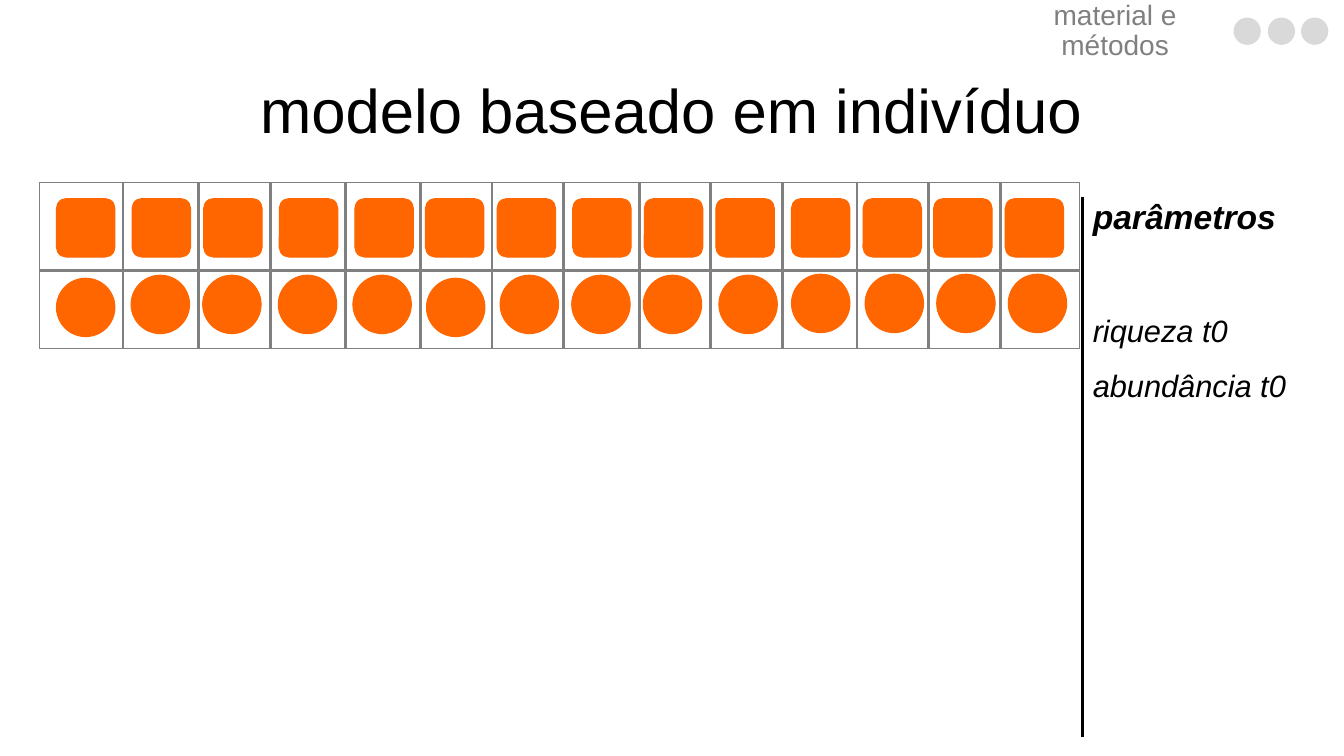
from pptx import Presentation
from pptx.dml.color import RGBColor
from pptx.enum.shapes import MSO_CONNECTOR, MSO_SHAPE
from pptx.enum.text import MSO_ANCHOR, MSO_AUTO_SIZE, PP_ALIGN
from pptx.oxml.ns import qn
from pptx.util import Pt
from lxml.etree import SubElement

PX = 9144  # 100 px to the inch
COLORS = {
    "individual": "FF6600",
    "grid": "808080",
    "muted": "808080",
    "dot": "D9D9D9",
    "text": "000000",
}
FONT = "Arial"
MARK_SIZE = 58

# Offsets from the left and top edges of the grid
DIVIDERS = [83, 158, 229, 304, 378, 449, 520, 595, 666, 737, 811, 882, 953]
SQUARE_LEFTS = [17, 92, 163, 238, 313, 383, 454, 529, 600, 671, 746, 817, 887, 958]
CIRCLE_LEFTS = [17, 91, 162, 237, 311, 384, 457, 528, 599, 674, 746, 819, 890, 961]
CIRCLE_TOPS = [95, 92, 92, 92, 92, 95, 92, 92, 92, 92, 91, 91, 91, 91]


def px(*lengths):
    return [length * PX for length in lengths]


def color(name):
    return RGBColor.from_string(COLORS[name])


def add_mark(slide, kind, box, fill=None, line=None):
    shape = slide.shapes.add_shape(kind, *px(*box))
    shape.shadow.inherit = False
    if fill:
        shape.fill.solid()
        shape.fill.fore_color.rgb = color(fill)
    else:
        shape.fill.background()
    shape.line.color.rgb = color(line or fill)
    shape.line.width = Pt(0)
    return shape


def add_line(slide, start, end, line, width=0):
    connector = slide.shapes.add_connector(
        MSO_CONNECTOR.STRAIGHT, *px(*start, *end))
    connector.line.color.rgb = color(line)
    connector.line.width = Pt(width)
    SubElement(connector._element.spPr, qn("a:effectLst"))


def add_text_box(slide, box, anchor=MSO_ANCHOR.TOP, auto_size=MSO_AUTO_SIZE.NONE):
    frame = slide.shapes.add_textbox(*px(*box)).text_frame
    frame.word_wrap = True
    frame.vertical_anchor = anchor
    frame.auto_size = auto_size
    return frame


def write(paragraph, text, size, fill="text", bold=False, italic=False,
          align=PP_ALIGN.LEFT, spacing=0.9, before=0):
    run = paragraph.add_run()
    run.text = text
    run.font.name = FONT
    run.font.size = Pt(size)
    run.font.bold = bold
    run.font.italic = italic
    run.font.color.rgb = color(fill)
    paragraph.alignment = align
    paragraph.line_spacing = spacing
    paragraph.space_before = Pt(before)


def place_title(slide, box):
    title = slide.shapes.title
    title.left, title.top, title.width, title.height = px(*box)
    frame = title.text_frame
    frame.vertical_anchor = MSO_ANCHOR.MIDDLE
    frame.auto_size = MSO_AUTO_SIZE.NONE
    write(frame.paragraphs[0], "modelo baseado em indivíduo", 44,
          align=PP_ALIGN.CENTER)


def add_section_header(slide, box):
    """Section name followed by three progress dots."""
    left, top, width, height = box
    frame = add_text_box(slide, (left, top, 242, height), MSO_ANCHOR.MIDDLE)
    write(frame.paragraphs[0], "material e métodos", 20, fill="muted",
          align=PP_ALIGN.CENTER)
    dot, pitch = 26, 33.5
    for index in range(3):
        dot_left = round(left + width - dot - index * pitch)
        add_mark(slide, MSO_SHAPE.OVAL, (dot_left, top + 10, dot, dot), fill="dot")


def add_individual_grid(slide, box):
    """Two rows of cells: squares above, circles below."""
    left, top, width, height = box
    for offset in SQUARE_LEFTS:
        add_mark(slide, MSO_SHAPE.ROUNDED_RECTANGLE,
                 (left + offset, top + 16, MARK_SIZE, MARK_SIZE),
                 fill="individual")
    for offset, drop in zip(CIRCLE_LEFTS, CIRCLE_TOPS):
        add_mark(slide, MSO_SHAPE.OVAL,
                 (left + offset, top + drop, MARK_SIZE, MARK_SIZE),
                 fill="individual")
    add_mark(slide, MSO_SHAPE.RECTANGLE, box, line="grid")
    for offset in DIVIDERS:
        x = left + offset
        add_line(slide, (x, top), (x, top + height), "grid")
    row_edge = top + 87
    add_line(slide, (left, row_edge), (left + width, row_edge), "grid")


def add_parameters(slide, box):
    left, top, _, _ = box
    frame = add_text_box(slide, box, auto_size=MSO_AUTO_SIZE.SHAPE_TO_FIT_TEXT)
    write(frame.paragraphs[0], "parâmetros", 24, bold=True, italic=True, spacing=1.5)
    for text, before in (("riqueza t0", 41), ("abundância t0", 0)):
        write(frame.add_paragraph(), text, 22, italic=True, spacing=1.5,
              before=before)
    add_line(slide, (left, top + 26), (left, top + 562), "text", width=2.25)


def main():
    presentation = Presentation()
    presentation.slide_width, presentation.slide_height = px(1333, 750)
    slide = presentation.slides.add_slide(presentation.slide_layouts[5])
    add_individual_grid(slide, (39, 181, 1032, 165))
    place_title(slide, (56, 40, 1220, 145))
    add_parameters(slide, (1074, 169, 283, 298))
    add_section_header(slide, (985, 8, 332, 47))
    presentation.save("out.pptx")


if __name__ == "__main__":
    main()
